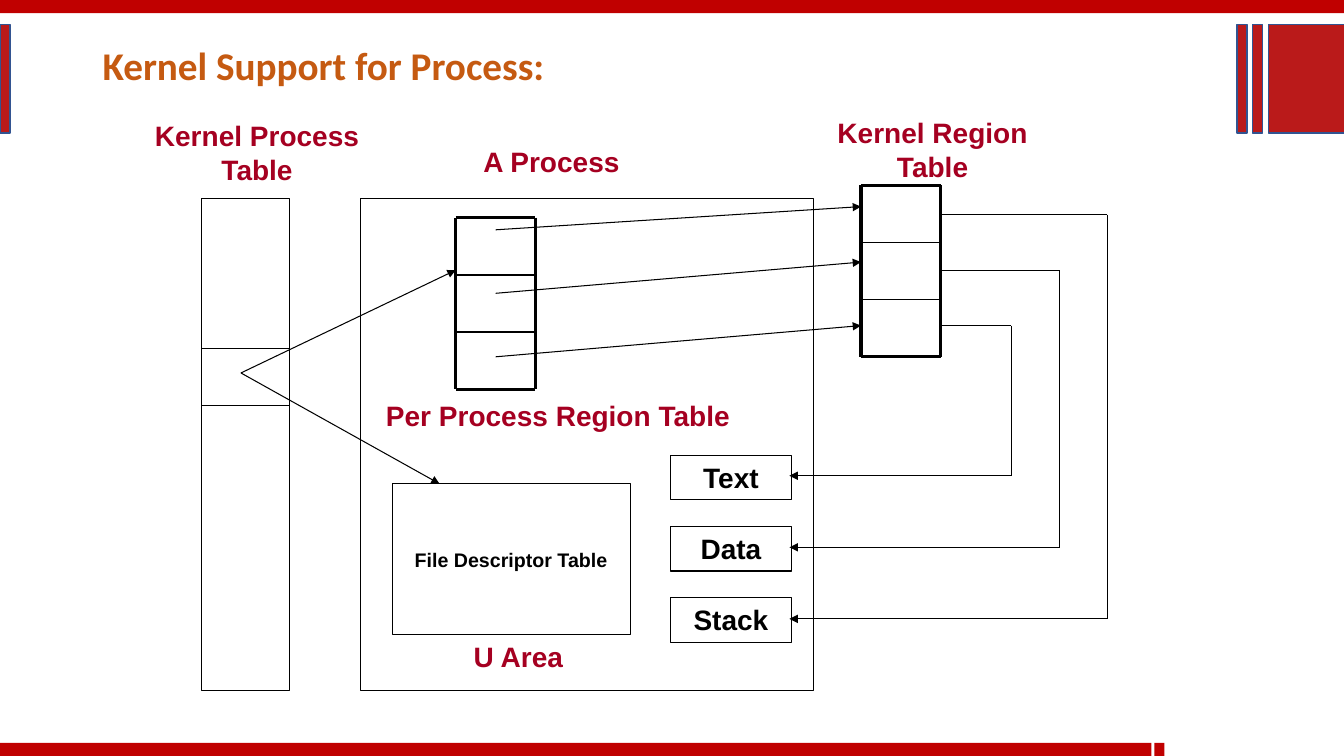
from lxml import etree
from pptx import Presentation
from pptx.dml.color import RGBColor
from pptx.enum.shapes import MSO_CONNECTOR, MSO_SHAPE
from pptx.enum.text import MSO_ANCHOR, PP_ALIGN
from pptx.oxml.ns import qn
from pptx.util import Inches, Pt

STRAIGHT = MSO_CONNECTOR.STRAIGHT
RECTANGLE = MSO_SHAPE.RECTANGLE
TOP, MIDDLE = MSO_ANCHOR.TOP, MSO_ANCHOR.MIDDLE
LEFT, CENTER = PP_ALIGN.LEFT, PP_ALIGN.CENTER
BLACK = RGBColor(0x00, 0x00, 0x00)
BAR_RED = RGBColor(0xC0, 0x00, 0x00)
BLOCK_RED = RGBColor(0xBA, 0x1A, 0x1A)
BLOCK_EDGE = RGBColor(0x32, 0x54, 0x91)
TITLE_ORANGE = RGBColor(0xC5, 0x5A, 0x11)
LABEL_RED = RGBColor(0xA5, 0x00, 0x21)

TITLE = ("Kernel Support for Process:", (0.92, 0.4, 11.5, 0.54))
BARS = [(0, 0, 13.33, 0.13), (0, 7.37, 11.42, 0.13), (11.45, 7.37, 0.1, 0.13)]
BLOCKS = [(0, 0.1), (12.58, 0.76), (12.42, 0.1), (12.27, 0.1)]
LABELS = [
    ("Kernel Process Table", (1.37, 1.13, 2.36, 0.77), CENTER, True),
    ("Kernel Region Table", (8.07, 1.1, 2.36, 0.77), CENTER, True),
    ("A Process", (4.29, 1.38, 2.36, 0.43), CENTER, True),
    ("Per Process Region Table", (3.73, 3.9, 3.63, 0.43), LEFT, False),
    ("U Area", (4.6, 6.3, 1.1, 0.43), LEFT, False),
]
PROCESS_TABLE = (2, 1.97, 0.87, 4.88)
PROCESS = (3.58, 1.97, 4.49, 4.88)
PROCESS_ENTRY_EDGES = [3.46, 4.02]
FILE_TABLE = ("File Descriptor Table", (3.89, 4.8, 2.36, 1.5))
REGIONS = ["Text", "Data", "Stack"]
REGION_BOX = (6.65, 4.52, 1.2, 0.44)
REGION_PITCH = 0.705
PER_PROCESS_GRID = (4.52, 2.16)
KERNEL_GRID = (8.54, 1.84)
GRID_WIDTH, GRID_ROW, GRID_ROWS = 0.79, 0.567, 3
ENTRY_POINT = (2.39, 3.7)
ENTRY_TARGETS = [(4.52, 2.68), (4.36, 4.8)]
REGION_LINKS = [(2.28, 2.05), (2.91, 2.6), (3.54, 3.23)]
ROUTES = [(2.13, 10.98, 6.14), (2.68, 10.51, 5.43), (3.23, 10.03, 4.72)]
ROUTE_END = 7.83

deck = Presentation()
deck.slide_width, deck.slide_height = Inches(13.33), Inches(7.5)
page = deck.slides.add_slide(deck.slide_layouts[6])


def write(box, text, size=20, font="Arial", color=BLACK, align=CENTER,
          anchor=TOP, wrap=True, spacing=1.0):
    frame = box.text_frame
    frame.word_wrap = wrap
    frame.vertical_anchor = anchor
    para = frame.paragraphs[0]
    para.alignment = align
    para.line_spacing = spacing
    span = para.add_run()
    span.text = text
    span.font.name = font
    span.font.size = Pt(size)
    span.font.bold = True
    span.font.color.rgb = color


def add_text(text, place, **style):
    write(page.shapes.add_textbox(*map(Inches, place)), text, **style)


def add_box(place, fill=None, edge=BLACK, width=0.75):
    box = page.shapes.add_shape(RECTANGLE, *map(Inches, place))
    box.shadow.inherit = False
    if fill is None:
        box.fill.background()
    else:
        box.fill.solid()
        box.fill.fore_color.rgb = fill
    if edge is None:
        box.line.fill.background()
    else:
        box.line.color.rgb = edge
        box.line.width = Pt(width)
    return box


def add_line(start, end, width=0.75, arrow=False):
    line = page.shapes.add_connector(STRAIGHT, *map(Inches, (*start, *end)))
    line.line.color.rgb = BLACK
    line.line.width = Pt(width)
    properties = line.element.spPr
    if arrow:
        etree.SubElement(properties.find(qn("a:ln")), qn("a:tailEnd"), type="triangle")
    etree.SubElement(properties, qn("a:effectLst"))


def add_grid(left, top):
    right, bottom = left + GRID_WIDTH, top + GRID_ROW * GRID_ROWS
    for row in range(GRID_ROWS + 1):
        y = top + row * GRID_ROW
        add_line((left, y), (right, y), width=2.25 if row in (0, GRID_ROWS) else 1)
    for x in (left, right):
        add_line((x, top), (x, bottom), width=2.25)


for place in BARS:
    add_box(place, fill=BAR_RED, edge=None)
for left, width in BLOCKS:
    add_box((left, 0.24, width, 1.08), fill=BLOCK_RED, edge=BLOCK_EDGE, width=1)
add_text(*TITLE, size=28, font="Calibri", color=TITLE_ORANGE, align=LEFT,
         anchor=MIDDLE, spacing=0.9)

add_box(PROCESS_TABLE)
add_box(PROCESS)
for y in PROCESS_ENTRY_EDGES:
    add_line((PROCESS_TABLE[0], y), (PROCESS_TABLE[0] + PROCESS_TABLE[2], y))
add_grid(*PER_PROCESS_GRID)
add_grid(*KERNEL_GRID)

file_text, file_place = FILE_TABLE
write(add_box(file_place), file_text, size=14, anchor=MIDDLE, wrap=False)
left, top, width, height = REGION_BOX
for index, name in enumerate(REGIONS):
    write(add_box((left, top + index * REGION_PITCH, width, height)), name)

for target in ENTRY_TARGETS:
    add_line(ENTRY_POINT, target, arrow=True)
link_start = PER_PROCESS_GRID[0] + GRID_WIDTH / 2
for start_y, end_y in REGION_LINKS:
    add_line((link_start, start_y), (KERNEL_GRID[0], end_y), arrow=True)
route_start = KERNEL_GRID[0] + GRID_WIDTH
for start_y, turn_x, end_y in ROUTES:
    add_line((route_start, start_y), (turn_x, start_y))
    add_line((turn_x, start_y), (turn_x, end_y))
    add_line((turn_x, end_y), (ROUTE_END, end_y), arrow=True)

for text, place, align, wrap in LABELS:
    add_text(text, place, color=LABEL_RED, align=align, wrap=wrap)

deck.save("out.pptx")
